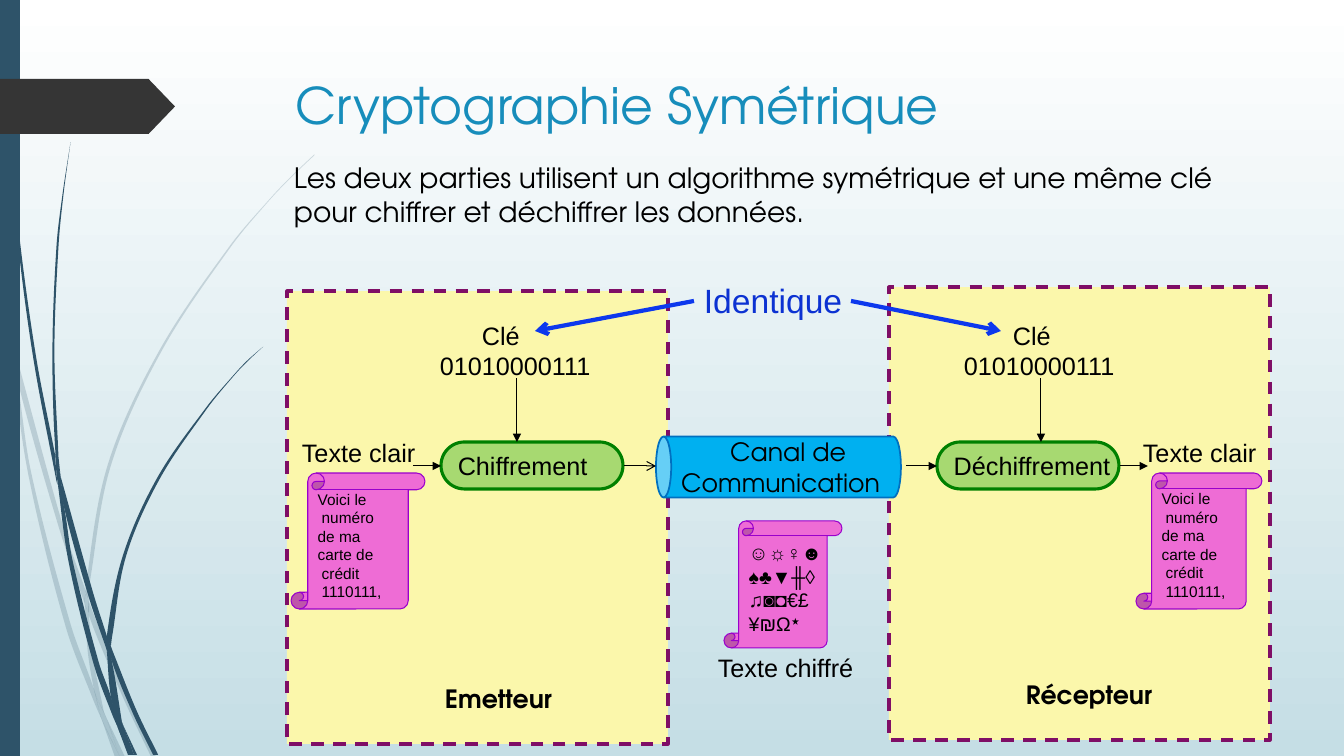
import math
from lxml import etree
from pptx import Presentation
from pptx.dml.color import RGBColor
from pptx.enum import dml, shapes, text
from pptx.oxml.ns import qn
from pptx.util import Pt

PX = 914400 / 100.8
COLORS = {
    "sky": "FFFFFF", "mist": "C5DEE5", "slate": "2E5369", "tag": "353535", "title": "178DBB",
    "ink": "000000", "panel": "FBF7AB", "border": "7F0E66", "pill": "A7D971",
    "pill_line": "008000", "scroll": "EE6CD5", "scroll_line": "9900CC", "canal": "00B0F0",
    "canal_line": "0070C0", "same": "0C32D2", "same_line": "0D38ED"}
HEADING_FONT, LABEL_FONT = "TeX Gyre Adventor", "Arial"
KIND = shapes.MSO_SHAPE
FLOW_Y = 466  # height at which the message travels
GRASS_UNIT = 9144  # hundredths of an inch

# Grass pieces parted by |, each with its two edges parted by /
PALE_GRASS = """11,350 9,322 0,282 / 0,299 10,344 11,350
| 14,345 17,376 58,522 84,599 / 85,586 62,520 14,345
| 88,596 88,610 123,694 150,751 / 155,751 127,692 92,607 88,596 | 105,711 119,751 / 124,751 105,711
| 11,350 28,470 65,621 92,693 101,714 / 99,707 93,683 70,619 31,469 17,376 11,350
| 84,599 87,646 93,683 96,692 105,711 / 103,706 91,646 88,610 84,599
| 312,153 289,175 268,197 228,244 158,348 107,461 85,584 88,596
/ 88,584 110,462 160,349 229,245 268,198 290,175 312,154 | 101,714 114,751 / 119,751 101,714
| 85,586 84,599 88,608 / 88,610 88,596 85,586
| 93,683 99,707 101,714 119,751 / 119,751 105,711 96,692 93,683"""
DARK_GRASS = """3,0 4,48 7,110 17,233 33,355 56,477 57,481 / 55,457 55,453 36,355 19,232 8,109 5,48 4,0
| 60,472 64,505 88,592 106,645 / 106,633 106,631 93,590 60,472
| 110,641 111,656 132,708 152,749 / 157,749 136,706 113,649 110,641
| 57,477 68,557 93,659 111,708 117,722 / 116,717 110,691 98,657 72,556 64,505 57,477
| 70,141 62,193 56,245 52,349 55,449 60,472 / 58,453 54,349 58,245 63,193 70,141
| 122,719 133,749 / 136,749 122,719 | 55,449 55,453 57,477 64,505 / 60,472 55,449
| 261,344 245,358 231,373 204,405 156,474 122,551 106,631 110,641
/ 111,633 125,552 158,476 205,406 231,374 245,359 261,344 | 117,722 127,749 / 131,749 117,722
| 106,645 110,691 116,706 122,719 / 121,716 111,656 106,645
| 106,631 106,645 111,656 / 110,641 106,631 | 110,691 117,722 130,749 / 133,749 122,719 110,691"""

def px(value):
    return round(value * PX)

def rgb(name):
    return RGBColor.from_string(COLORS[name])

def write(shape, lines, size, font=LABEL_FONT, color="ink", bold=False,
          anchor=text.MSO_ANCHOR.MIDDLE, wrap=False, indents=()):
    frame = shape.text_frame
    frame.text = "\n".join(lines)
    frame.word_wrap, frame.vertical_anchor = wrap, anchor
    for index, paragraph in enumerate(frame.paragraphs):
        paragraph.alignment = text.PP_ALIGN.LEFT
        if index < len(indents):
            paragraph._p.get_or_add_pPr().set("indent", str(px(indents[index])))
        for run in paragraph.runs:
            run.font.size, run.font.name, run.font.bold = Pt(size), font, bold
            run.font.color.rgb = rgb(color)
            etree.SubElement(run.font._element, qn("a:cs"), typeface=font)

def add_label(slide, box, lines, size, **style):
    label = slide.shapes.add_textbox(*map(px, box))
    write(label, lines, size, anchor=text.MSO_ANCHOR.TOP, **style)

def paint(shape, fill, line=None, width=0):
    shape.shadow.inherit = False
    shape.fill.solid()
    shape.fill.fore_color.rgb = rgb(fill)
    if line:
        shape.line.color.rgb, shape.line.width = rgb(line), Pt(width)
    else:
        shape.line.fill.background()
    return shape

def add_block(slide, kind, box, *look):
    return paint(slide.shapes.add_shape(kind, *map(px, box)), *look)

def add_arrow(slide, start, end, color="ink", width=0.75, head="triangle"):
    arrow = slide.shapes.add_connector(shapes.MSO_CONNECTOR.STRAIGHT, *map(px, start + end))
    arrow.line.color.rgb, arrow.line.width = rgb(color), Pt(width)
    etree.SubElement(arrow.line._get_or_add_ln(), qn("a:tailEnd"), type=head)
    etree.SubElement(arrow._element.spPr, qn("a:effectLst"))

def add_scroll(slide, box, lines, size, indents=()):
    scroll = add_block(slide, KIND.VERTICAL_SCROLL, box, "scroll", "scroll_line", 0.75)
    write(scroll, lines, size, indents=indents)

def curve(edge):
    """Bezier handles and end point of every step along a smooth edge."""
    padded = [edge[0], *edge, edge[-1]]
    for a, b, c, d in zip(padded, padded[1:], padded[2:], padded[3:]):
        reach = math.dist(b, c) / 3
        out, back = reach / math.dist(a, c), reach / math.dist(b, d)
        yield [tuple(q + (r - p) * out for p, q, r in zip(a, b, c)),
               tuple(q - (r - p) * back for p, q, r in zip(b, c, d)), c]

def add_grass(slide, piece, opacity):
    edges = [[tuple(int(n) * GRASS_UNIT for n in point.split(",")) for point in edge.split()]
             for edge in piece.split("/")]
    outline = edges[0] + edges[1]
    builder = slide.shapes.build_freeform(*outline[0], scale=1)
    builder.add_line_segments(outline[1:], close=True)
    blade = paint(builder.convert_to_shape(), "slate")
    corner = [min(axis) for axis in zip(*outline)]
    steps = [*curve(edges[0]), None, *curve(edges[1])]
    for segment, step in zip(list(blade._element.iter(qn("a:lnTo"))), steps):
        if step:
            bend = etree.Element(qn("a:cubicBezTo"))
            for point in step:
                x, y = (str(round(n - low)) for n, low in zip(point, corner))
                etree.SubElement(bend, qn("a:pt"), x=x, y=y)
            segment.getparent().replace(segment, bend)
    if opacity < 100:
        color = blade._element.spPr.find(".//" + qn("a:srgbClr"))
        etree.SubElement(color, qn("a:alpha"), val=str(opacity * 1000))

def draw_backdrop(slide, height):
    sky = slide.background.fill
    sky.gradient()
    sky.gradient_angle = 270
    for stop, position, name in zip(sky.gradient_stops, (0, 1), ("sky", "mist")):
        stop.position, stop.color.rgb = position, rgb(name)
    for grass, opacity in ((PALE_GRASS, 20), (DARK_GRASS, 100)):
        for piece in grass.split("|"):
            add_grass(slide, piece, opacity)
    add_block(slide, KIND.RECTANGLE, (0, 0, 20, height), "slate")
    add_block(slide, KIND.PENTAGON, (0, 79, 175, 55), "tag").adjustments[0] = 0.48

def draw_heading(slide, left, top):
    add_label(slide, (left + 2, top, 983, 141), ["Cryptographie Symétrique"], 36,
              font=HEADING_FONT, color="title", wrap=True)
    add_label(slide, (left, top + 87, 1007, 78),
              ["Les deux parties utilisent un algorithme symétrique et une même clé "
               "pour chiffrer et déchiffrer les données."], 20, font=HEADING_FONT, wrap=True)

def draw_party(slide, box, name, name_x, operation, pill_x, key_x, key_indent,
               clear_x, scroll_x, scroll_width):
    """Panel of one party; every x is measured from the panel's left edge."""
    left = box[0]
    panel = add_block(slide, KIND.RECTANGLE, box, "panel", "border", 2.25)
    panel.line.dash_style = dml.MSO_LINE.DASH
    write(panel, [name], 18, HEADING_FONT, bold=True, anchor=text.MSO_ANCHOR.BOTTOM)
    panel.text_frame.margin_left, panel.text_frame.margin_bottom = px(name_x), px(30)
    # Operation and its key
    pill = add_block(slide, KIND.ROUNDED_RECTANGLE, (left + pill_x, FLOW_Y - 24, 182, 47),
                     "pill", "pill_line", 2.25)
    pill.adjustments[0] = 0.5
    write(pill, [operation], 18)
    key_left = left + key_x
    add_label(slide, (key_left, FLOW_Y - 151, 174, 71), ["Clé", "01010000111"], 18,
              indents=[key_indent])
    add_arrow(slide, (key_left + 87, 378), (key_left + 87, FLOW_Y - 24))
    # Clear message
    add_scroll(slide, (left + scroll_x, FLOW_Y + 7, scroll_width, 136),
               ["Voici le", "numéro", "de ma", "carte de", "crédit", "1110111,"],
               11, indents=(0, 4, 0, 0, 4, 4))
    add_label(slide, (left + clear_x, FLOW_Y - 34, 136, 40), ["Texte clair"], 18)

def draw_channel(slide, left, width, height):
    # The can stands upright, then is turned on its side
    can_box = (left + (width - height) / 2, FLOW_Y + 1 - width / 2, height, width)
    canal = add_block(slide, KIND.CAN, can_box, "canal", "canal_line", 1.25)
    canal.rotation = 270
    write(canal, ["Canal de Communication"], 18, HEADING_FONT, wrap=True, indents=[49])
    canal.text_frame._txBody.bodyPr.set("vert", "vert")
    add_scroll(slide, (left + 68, FLOW_Y + 55, 118, 127),
               ["☺☼♀☻", "♠♣▼╫◊", "♫◙◘€£", "¥₪Ω٭"], 14)
    add_label(slide, (left + 52, FLOW_Y + 181, 157, 40), ["Texte chiffré"], 18)
    # Path of the message through the channel
    for start, end, head in ((413, 441, "triangle"), (624, 656, "arrow"),
                             (906, 937, "triangle"), (1120, 1148, "triangle")):
        add_arrow(slide, (start, FLOW_Y), (end, FLOW_Y), head=head)

def draw_shared_key(slide, left, top):
    add_label(slide, (left, top, 236, 50), ["Identique"], 24, color="same", wrap=True)
    for start_x, end_x in ((left, 535), (left + 157, 1001)):
        add_arrow(slide, (start_x, top + 26), (end_x, top + 56), "same_line", 3, "arrow")

def main():
    deck = Presentation()
    deck.slide_width, deck.slide_height = px(1344), px(756)
    slide = deck.slides.add_slide(deck.slide_layouts[6])
    draw_backdrop(slide, 756)
    draw_heading(slide, 284, 69)
    draw_party(slide, (889, 287, 381, 453), "Récepteur", 137, "Déchiffrement", 48, 65, 49,
               244, 247, 126)
    draw_party(slide, (287, 291, 381, 453), "Emetteur", 158, "Chiffrement", 154, 143, 42,
               5, 4, 134)
    draw_channel(slide, 656, 245, 61)
    draw_shared_key(slide, 694, 275)
    deck.save("out.pptx")

if __name__ == "__main__":
    main()
